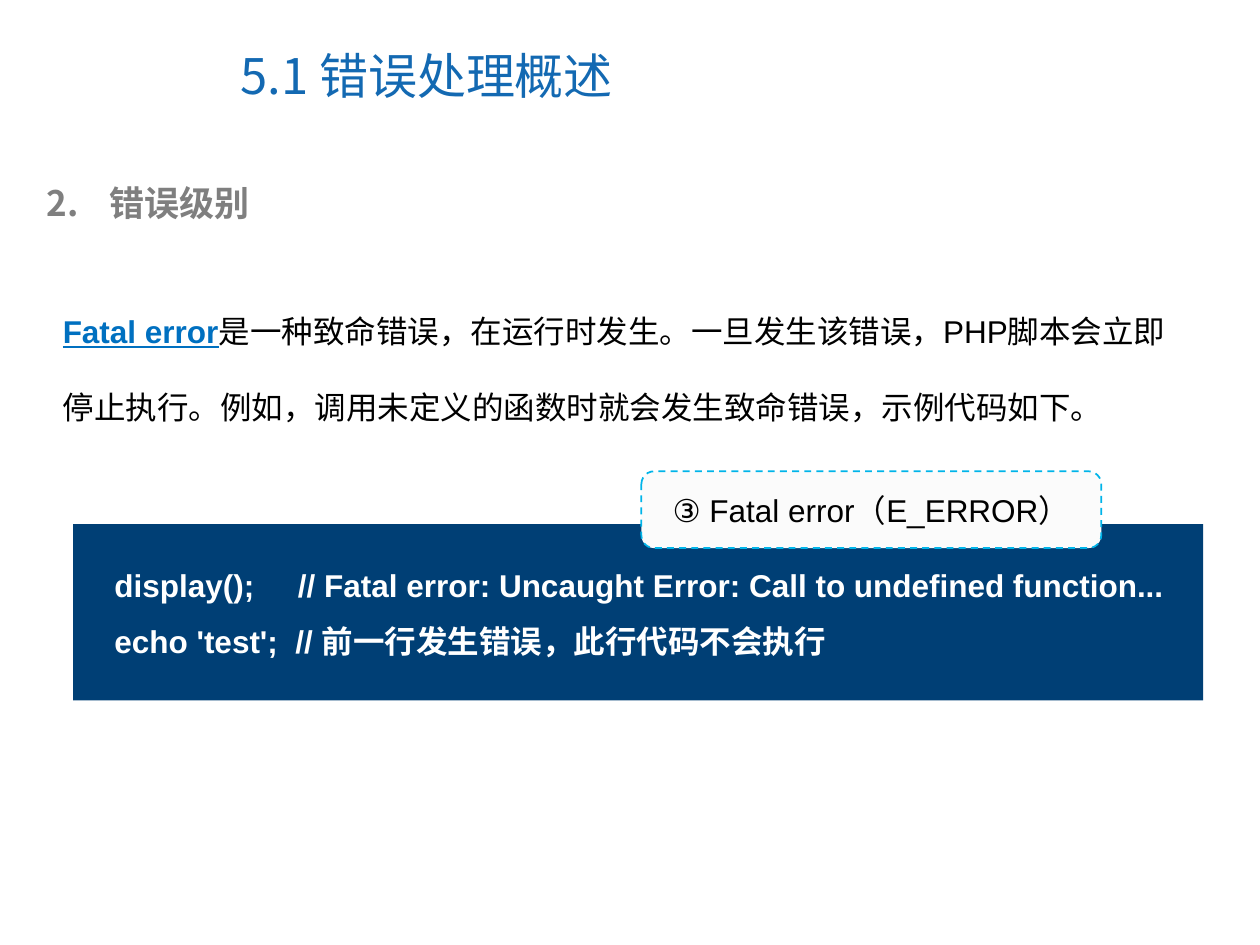
from pptx import Presentation
from pptx.dml.color import RGBColor
from pptx.enum.dml import MSO_LINE
from pptx.enum.shapes import MSO_SHAPE
from pptx.enum.text import MSO_ANCHOR, PP_ALIGN
from pptx.oxml.ns import qn
from pptx.util import Inches, Pt
from lxml import etree

RECTANGLE = MSO_SHAPE.RECTANGLE
ROUNDED = MSO_SHAPE.ROUNDED_RECTANGLE
MIDDLE = MSO_ANCHOR.MIDDLE
CENTER = PP_ALIGN.CENTER
DASH = MSO_LINE.DASH

LATIN, CHINESE = "Arial", "Noto Sans CJK SC"
TITLE_BLUE, TERM_BLUE, CODE_BLUE, LABEL_BLUE = "1369B2", "0070C0", "003F75", "00B4E9"
GRAY, WHITE, LABEL_FILL, BLACK = "7F7F7F", "FFFFFF", "FBFBFB", "000000"

TITLE = "5.1 错误处理概述"
HEADING_NUMBER, HEADING = 2, "错误级别"
TERM = "Fatal error"
EXPLANATION = (
    "是一种致命错误，在运行时发生。一旦发生该错误，PHP脚本会立即停止执行。"
    "例如，调用未定义的函数时就会发生致命错误，示例代码如下。"
)
CODE = [
    "display();     // Fatal error: Uncaught Error: Call to undefined function...",
    "echo 'test';  // 前一行发生错误，此行代码不会执行",
]
LABEL = "③ Fatal error（E_ERROR）"


def color(value):
    return RGBColor.from_string(value)


def style(paragraph, size, font_color, name=LATIN, bold=False):
    font = paragraph.font
    font.size, font.name, font.bold = Pt(size), name, bold
    font.color.rgb = color(font_color)
    properties = paragraph._p.pPr.find(qn("a:defRPr"))
    etree.SubElement(properties, qn("a:ea"), typeface=CHINESE)


def number(paragraph, start, number_color, indent):
    """Turn the paragraph into an automatically numbered item."""
    properties = paragraph._p.get_or_add_pPr()
    properties.set("marL", str(indent))
    properties.set("indent", str(-indent))
    bullet_color = etree.SubElement(properties, qn("a:buClr"))
    etree.SubElement(bullet_color, qn("a:srgbClr"), val=number_color)
    etree.SubElement(properties, qn("a:buAutoNum"), type="arabicPeriod", startAt=str(start))


def add_text(slide, box, lines, spacing=None):
    frame = slide.shapes.add_textbox(*map(Inches, box)).text_frame
    frame.word_wrap = True
    frame.text = "\n".join(lines)
    for paragraph in frame.paragraphs:
        paragraph.line_spacing = spacing
    return frame


def add_panel(slide, kind, box, fill):
    shape = slide.shapes.add_shape(kind, *map(Inches, box))
    shape.shadow.inherit = False
    shape.fill.solid()
    shape.fill.fore_color.rgb = color(fill)
    shape.line.fill.background()
    return shape


presentation = Presentation()
presentation.slide_width, presentation.slide_height = Inches(10), Inches(7.5)
slide = presentation.slides.add_slide(presentation.slide_layouts[6])

title = add_text(slide, (1.81, 0.17, 5.16, 0.85), [TITLE])
title.vertical_anchor = MIDDLE
style(title.paragraphs[0], 28, TITLE_BLUE, CHINESE)

heading = add_text(slide, (0.27, 1.39, 9.22, 0.44), [HEADING]).paragraphs[0]
number(heading, HEADING_NUMBER, GRAY, Inches(0.5))
style(heading, 20, GRAY, CHINESE, bold=True)

add_panel(slide, RECTANGLE, (0.58, 4.16, 8.97, 1.4), CODE_BLUE)
code = add_text(slide, (0.81, 4.29, 8.56, 1), CODE, spacing=1.5)
for paragraph in code.paragraphs:
    style(paragraph, 18, WHITE, bold=True)

label = add_panel(slide, ROUNDED, (5.09, 3.74, 3.65, 0.61), LABEL_FILL)
label.line.color.rgb = color(LABEL_BLUE)
label.line.width = Pt(1)
label.line.dash_style = DASH
label.text_frame.text = LABEL
label.text_frame.vertical_anchor = MIDDLE
label_paragraph = label.text_frame.paragraphs[0]
label_paragraph.alignment = CENTER
style(label_paragraph, 18, BLACK)

explanation = add_text(slide, (0.4, 2.13, 9.19, 1.3), [TERM], spacing=2.0).paragraphs[0]
style(explanation, 18, BLACK)
term = explanation.runs[0].font
term.bold = term.underline = True
term.color.rgb = color(TERM_BLUE)
explanation.add_run().text = EXPLANATION

presentation.save("out.pptx")
